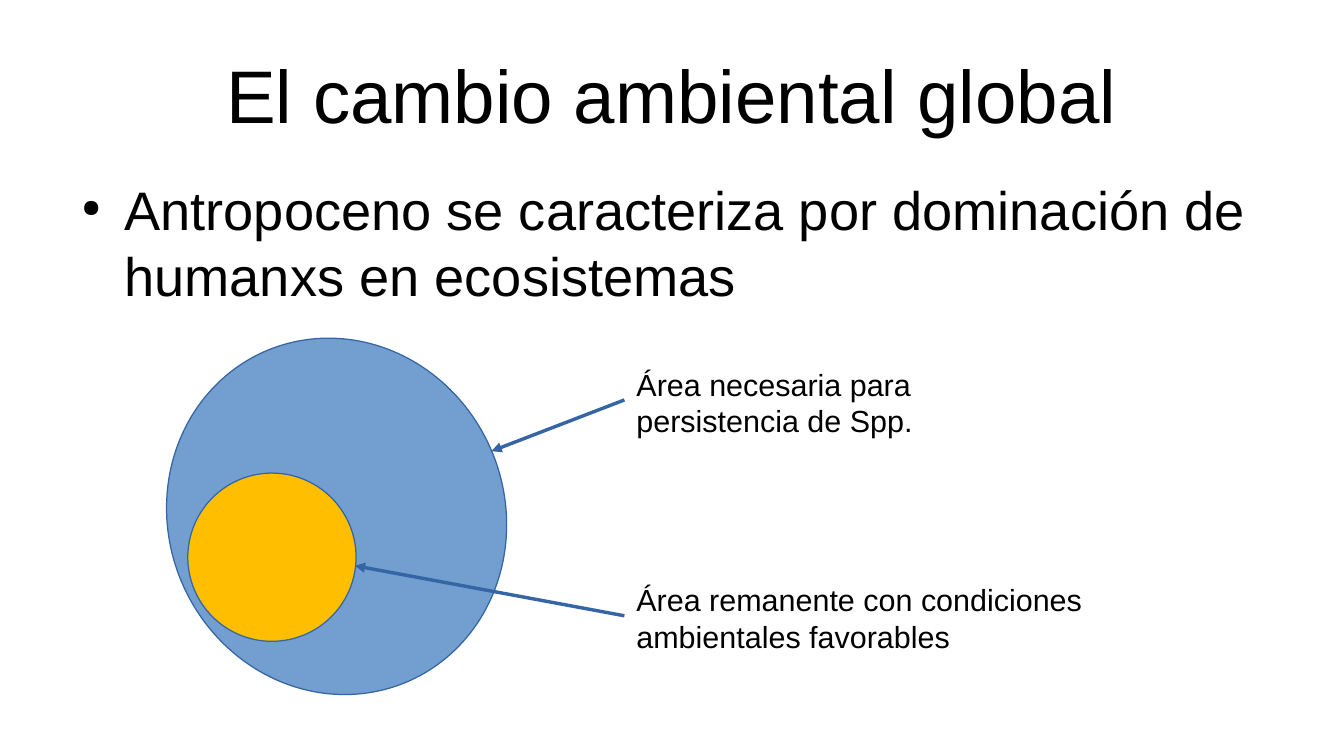
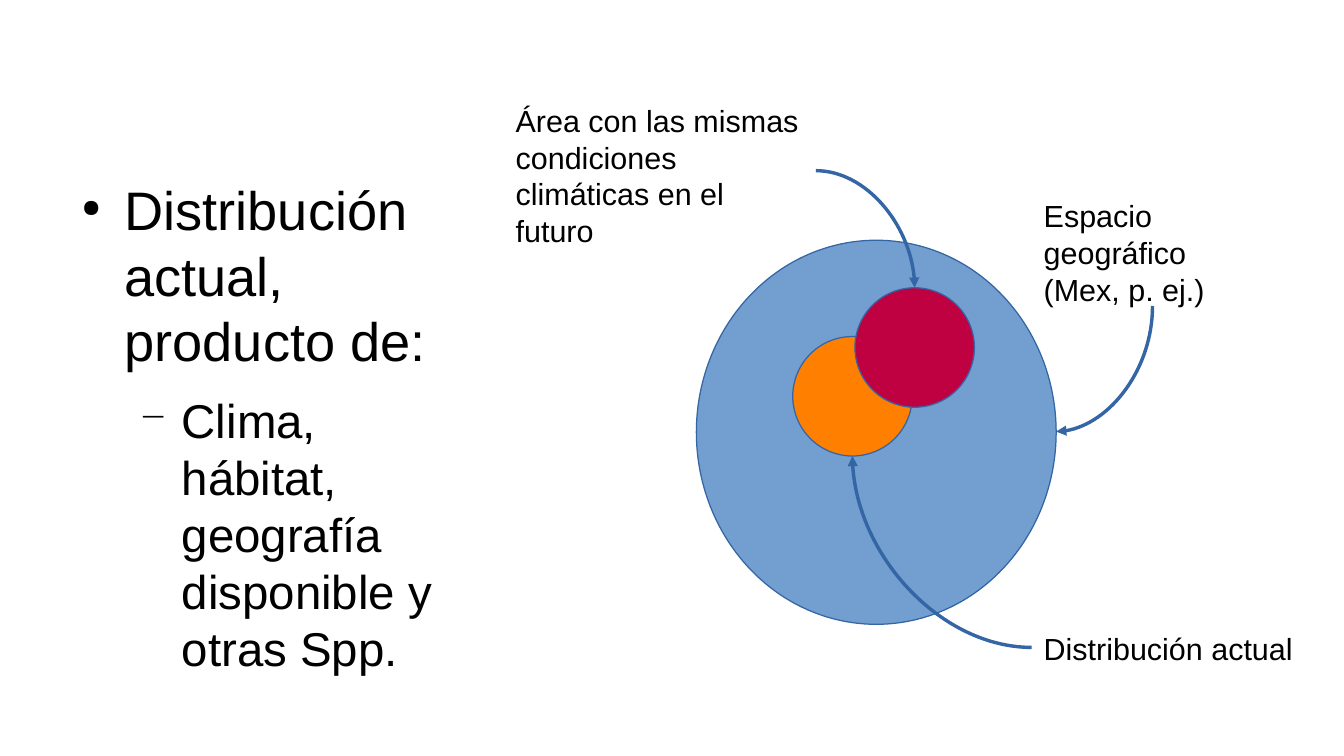
"""Build two slides on species ranges under global change."""
from typing import NamedTuple

from lxml import etree
from pptx import Presentation
from pptx.dml.color import RGBColor
from pptx.enum.shapes import MSO_CONNECTOR, MSO_SHAPE
from pptx.enum.text import MSO_ANCHOR, MSO_AUTO_SIZE, PP_ALIGN
from pptx.oxml.ns import qn
from pptx.util import Emu, Pt

PX = 9144
FONT = "Arial"
BLACK = RGBColor(0x00, 0x00, 0x00)
EDGE = RGBColor(0x34, 0x65, 0xA4)
BLUE = RGBColor(0x72, 0x9F, 0xCF)
GOLD = RGBColor(0xFF, 0xBF, 0x00)
ORANGE = RGBColor(0xFF, 0x80, 0x00)
RED = RGBColor(0xBF, 0x00, 0x41)
OVAL = MSO_SHAPE.OVAL
LINE = MSO_CONNECTOR.STRAIGHT
CURVE = MSO_CONNECTOR.CURVE
CENTER = PP_ALIGN.CENTER
MIDDLE = MSO_ANCHOR.MIDDLE
GROW = MSO_AUTO_SIZE.SHAPE_TO_FIT_TEXT
FIXED = MSO_AUTO_SIZE.NONE
TITLE_ONLY, BLANK = 5, 6
LEFT = 1
QUARTER = 90 * 60000


class Box(NamedTuple):
    """Left, top, width and height in px."""
    x: int
    y: int
    w: int
    h: int


class Disc(NamedTuple):
    """A filled ellipse."""
    box: Box
    fill: RGBColor
    turn: float = 0


class Label(NamedTuple):
    """A caption beside the discs."""
    box: Box
    text: str
    wrap: bool = True


class Bend(NamedTuple):
    """A curved arrow; drop means that it leaves vertically."""
    start: tuple[int, int]
    end: tuple[int, int]
    drop: bool = False


class Level(NamedTuple):
    """The look of one bullet level."""
    size: int
    margin: int
    mark: str
    scale: int
    before: float


TITLE = Box(55, 25, 992, 104)
HANG = 35
LEVELS = [Level(32, 47, "●", 45, 0), Level(28, 94, "−", 75, 11.3)]


def emu(*px: int) -> list[Emu]:
    """Turn px into EMU."""
    return [Emu(round(n * PX)) for n in px]


def style(par, size: int) -> None:
    """Format all runs of a paragraph."""
    for run in par.runs:
        run.font.name = FONT
        run.font.size = Pt(size)
        run.font.color.rgb = BLACK


def strip(frame) -> None:
    """Remove the insets of a text frame."""
    frame.margin_left = frame.margin_top = 0
    frame.margin_right = frame.margin_bottom = 0


def add_title(slide, text: str) -> None:
    """Place and format the title."""
    shape = slide.shapes.title
    shape.left, shape.top, shape.width, shape.height = emu(*TITLE)
    frame = shape.text_frame
    frame.text = text
    strip(frame)
    frame.auto_size = FIXED
    frame.vertical_anchor = MIDDLE
    par = frame.paragraphs[0]
    par.alignment = CENTER
    style(par, 44)


def set_mark(par, level: Level) -> None:
    """Give a paragraph its bullet and hanging indent."""
    props = par._p.get_or_add_pPr()
    margin, hang = emu(level.margin, -HANG)
    props.set("marL", str(margin))
    props.set("indent", str(hang))
    color = etree.SubElement(props, qn("a:buClr"))
    etree.SubElement(color, qn("a:srgbClr")).set("val", str(BLACK))
    size = etree.SubElement(props, qn("a:buSzPct"))
    size.set("val", str(level.scale * 1000))
    etree.SubElement(props, qn("a:buChar")).set("char", level.mark)


def add_body(slide, width: int, lines: list[str]) -> None:
    """Add the bullets, each line one level deeper."""
    shape = slide.shapes.add_textbox(*emu(55, 145, width, 360))
    frame = shape.text_frame
    frame.word_wrap = True
    strip(frame)
    frame.text = "\n".join(lines)
    for depth, (par, level) in enumerate(zip(frame.paragraphs, LEVELS)):
        par.level = depth
        set_mark(par, level)
        if level.before:
            par.space_before = Pt(level.before)
        style(par, level.size)


def add_disc(slide, disc: Disc) -> None:
    """Draw one ellipse."""
    shape = slide.shapes.add_shape(OVAL, *emu(*disc.box))
    shape.shadow.inherit = False
    shape.rotation = disc.turn
    shape.fill.solid()
    shape.fill.fore_color.rgb = disc.fill
    shape.line.color.rgb = EDGE
    shape.line.width = Pt(0)


def add_label(slide, label: Label):
    """Write one caption."""
    shape = slide.shapes.add_textbox(*emu(*label.box))
    frame = shape.text_frame
    frame.word_wrap = label.wrap
    frame.auto_size = GROW
    frame.text = label.text
    style(frame.paragraphs[0], 18)
    return shape


def add_arrow(slide, kind, start: tuple[int, int], end: tuple[int, int]):
    """Draw a hairline with an arrowhead at its end."""
    arrow = slide.shapes.add_connector(kind, *emu(*start, *end))
    arrow.line.color.rgb = EDGE
    arrow.line.width = Pt(0)
    tail = etree.SubElement(arrow.line._get_or_add_ln(), qn("a:tailEnd"))
    tail.set("type", "triangle")
    etree.SubElement(arrow._element.spPr, qn("a:effectLst"))
    return arrow


def add_bend(slide, bend: Bend) -> None:
    """Draw a quarter curve, turned when it leaves vertically."""
    start, end = bend.start, bend.end
    if bend.drop:
        mid_x, mid_y = (start[0] + end[0]) / 2, (start[1] + end[1]) / 2
        half_w, half_h = (end[1] - start[1]) / 2, (start[0] - end[0]) / 2
        start = (mid_x - half_w, mid_y - half_h)
        end = (mid_x + half_w, mid_y + half_h)
    props = add_arrow(slide, CURVE, start, end)._element.spPr
    props.find(qn("a:prstGeom")).set("prst", "curvedConnector2")
    if bend.drop:
        props.find(qn("a:xfrm")).set("rot", str(QUARTER))


def build_change(deck) -> None:
    """Build the slide on global change."""
    slide = deck.slides.add_slide(deck.slide_layouts[TITLE_ONLY])
    add_title(slide, "El cambio ambiental global")
    add_body(slide, 992, [
        "Antropoceno se caracteriza por dominación de humanxs en ecosistemas"])
    for disc in (Disc(Box(138, 276, 276, 295), BLUE, 337.4),
                 Disc(Box(154, 388, 138, 138), GOLD, 6)):
        add_disc(slide, disc)
    notes = [
        (Label(Box(512, 295, 315, 66),
               "Área necesaria para persistencia de Spp."), (403, 370)),
        (Label(Box(512, 472, 394, 66),
               "Área remanente con condiciones ambientales favorables"),
         (291, 464)),
    ]
    for label, tip in notes:
        box = label.box
        shape = add_label(slide, label)
        arrow = add_arrow(slide, LINE, (box.x, box.y + box.h // 2), tip)
        arrow.begin_connect(shape, LEFT)


def build_range(deck) -> None:
    """Build the slide on current and future ranges."""
    slide = deck.slides.add_slide(deck.slide_layouts[BLANK])
    add_body(slide, 319, [
        "Distribución actual, producto de:",
        "Clima, hábitat, geografía disponible y otras Spp."])
    for disc in (Disc(Box(571, 197, 295, 315), BLUE),
                 Disc(Box(650, 276, 98, 98), ORANGE),
                 Disc(Box(701, 236, 98, 98), RED)):
        add_disc(slide, disc)
    notes = [
        (Label(Box(846, 157, 197, 94), "Espacio geográfico (Mex, p. ej.)"),
         Bend((945, 251), (866, 354), True)),
        (Label(Box(846, 512, 224, 38), "Distribución actual", False),
         Bend((846, 531), (699, 374))),
        (Label(Box(413, 79, 256, 122),
               "Área con las mismas condiciones climáticas en el futuro"),
         Bend((669, 140), (750, 236))),
    ]
    for label, bend in notes:
        add_label(slide, label)
        add_bend(slide, bend)


def main() -> None:
    """Build and save the deck."""
    deck = Presentation()
    deck.slide_width, deck.slide_height = emu(1102, 620)
    build_change(deck)
    build_range(deck)
    deck.save("out.pptx")


if __name__ == "__main__":
    main()
